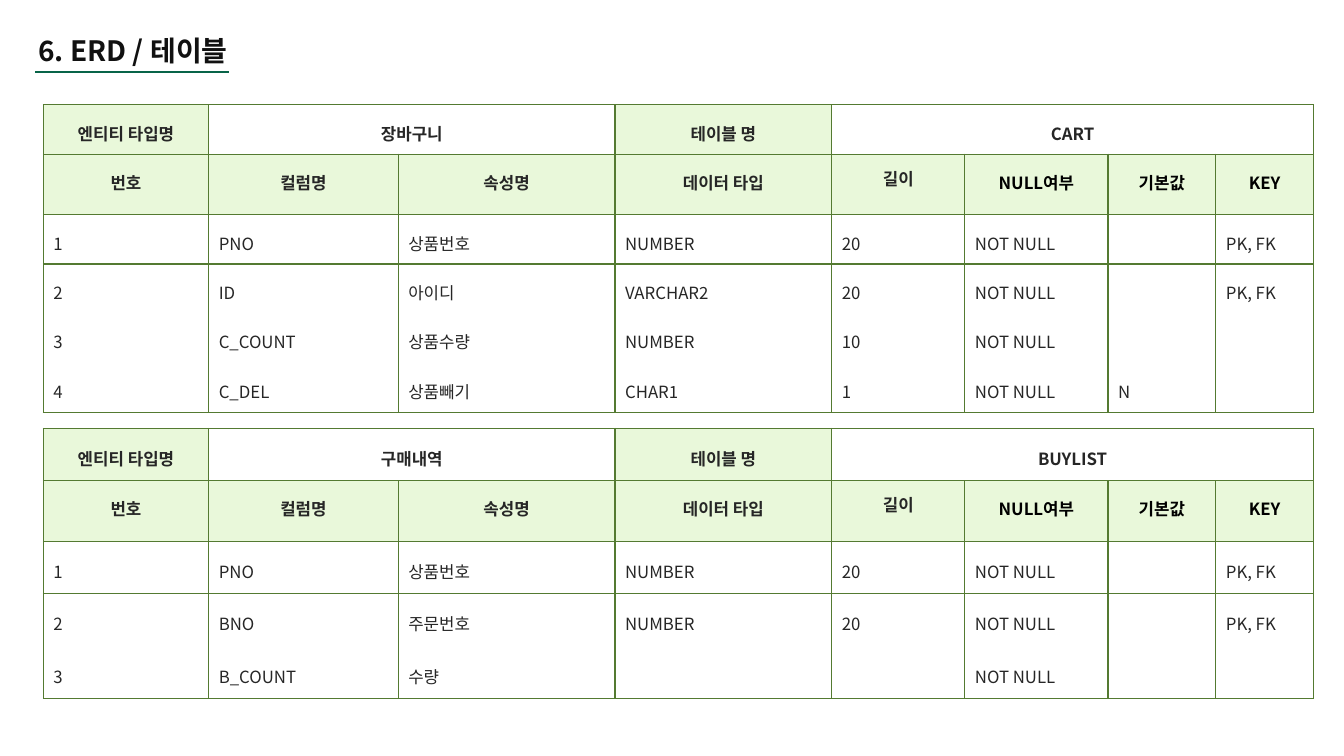
from lxml import etree
from pptx import Presentation
from pptx.dml.color import RGBColor
from pptx.enum.shapes import MSO_CONNECTOR
from pptx.enum.text import MSO_ANCHOR, PP_ALIGN
from pptx.oxml.ns import qn
from pptx.util import Inches, Pt

CENTER, LEFT = PP_ALIGN.CENTER, PP_ALIGN.LEFT
MIDDLE = MSO_ANCHOR.MIDDLE
STRAIGHT = MSO_CONNECTOR.STRAIGHT

FONT = "Noto Sans CJK KR"
COLORS = {
    "title": "111111", "rule": "086448", "border": "547A31",
    "label": "E9F8DA", "plain": "FFFFFF", "text": "262626", "black": "000000",
}
NO_GRID_STYLE = "{2D5ABB26-0587-4C30-8999-92F81FD0307C}"

COLUMN_WIDTHS = [1.64, 1.88, 2.15, 2.15, 1.32, 1.42, 1.07, 0.97]
FIELD_ROW_HEIGHT = 0.6
FIELDS = ["번호", "컬럼명", "속성명", "데이터 타입", "길이", "NULL여부", "기본값", "KEY"]
BLACK_FIELDS = FIELDS[5:]
# Top and bottom insets
CELL_INSETS, FIELD_INSETS, LENGTH_INSETS = (0.12, 0.05), (0, 0.05), (0, 0.13)

CART_COLUMNS = [
    ["1", "PNO", "상품번호", "NUMBER", "20", "NOT NULL", "", "PK, FK"],
    ["2", "ID", "아이디", "VARCHAR2", "20", "NOT NULL", "", "PK, FK"],
    ["3", "C_COUNT", "상품수량", "NUMBER", "10", "NOT NULL", "", ""],
    ["4", "C_DEL", "상품빼기", "CHAR1", "1", "NOT NULL", "N", ""],
]
BUYLIST_COLUMNS = [
    ["1", "PNO", "상품번호", "NUMBER", "20", "NOT NULL", "", "PK, FK"],
    ["2", "BNO", "주문번호", "NUMBER", "20", "NOT NULL", "", "PK, FK"],
    ["3", "B_COUNT", "수량", "", "", "NOT NULL", "", ""],
]


def rgb(name):
    return RGBColor.from_string(COLORS[name])


def style_text(paragraph, size, color, bold):
    for run in paragraph.runs:
        run.font.size = Pt(size)
        run.font.bold = bold
        run.font.color.rgb = rgb(color)
        run.font.name = FONT
        east_asian = etree.SubElement(run.font._element, qn("a:ea"))
        east_asian.set("typeface", FONT)


def add_borders(cell, sides):
    """Draw the sides given as letters out of L, R, T and B, in that order."""
    properties = cell._tc.get_or_add_tcPr()
    for side in sides:
        line = etree.SubElement(properties, qn(f"a:ln{side}"), w=str(Pt(1)))
        fill = etree.SubElement(line, qn("a:solidFill"))
        etree.SubElement(fill, qn("a:srgbClr"), val=COLORS["border"])


def fill_cell(cell, text, fill="plain", sides="LRTB", insets=CELL_INSETS,
              align=CENTER, color="text", bold=True):
    add_borders(cell, sides)
    cell.fill.solid()
    cell.fill.fore_color.rgb = rgb(fill)
    cell.vertical_anchor = MIDDLE
    if text:
        cell.margin_top, cell.margin_bottom = map(Inches, insets)
        cell.text_frame.text = text
        paragraph = cell.text_frame.paragraphs[0]
        paragraph.alignment = align
        style_text(paragraph, 12, color, bold)


def add_entity_table(slide, left, top, row_height, entity, table_name, columns):
    heights = [row_height, FIELD_ROW_HEIGHT] + [row_height] * len(columns)
    table = slide.shapes.add_table(
        len(heights), len(FIELDS), Inches(left), Inches(top),
        Inches(sum(COLUMN_WIDTHS)), Inches(sum(heights))).table
    table.first_row = table.horz_banding = False
    table._tbl.tblPr.find(qn("a:tableStyleId")).text = NO_GRID_STYLE
    for column, width in zip(table.columns, COLUMN_WIDTHS):
        column.width = Inches(width)
    for row, height in zip(table.rows, heights):
        row.height = Inches(height)

    table.cell(0, 1).merge(table.cell(0, 2))
    table.cell(0, 4).merge(table.cell(0, 7))
    names = ["엔티티 타입명", entity, "", "테이블 명", table_name, "", "", ""]
    for index, name in enumerate(names):
        fill_cell(table.cell(0, index), name, "label" if index in (0, 3) else "plain")

    for index, field in enumerate(FIELDS):
        fill_cell(table.cell(1, index), field, "label",
                  insets=LENGTH_INSETS if field == "길이" else FIELD_INSETS,
                  color="black" if field in BLACK_FIELDS else "text")

    for number, values in enumerate(columns, 1):
        sides = "LR" + "T" * (number == 1) + "B" * (number == len(columns))
        for index, value in enumerate(values):
            fill_cell(table.cell(number + 1, index), value, sides=sides,
                      align=LEFT, bold=False)


def add_title(slide, left, top, width, height, text):
    title = slide.shapes.add_textbox(
        Inches(left), Inches(top), Inches(width), Inches(height)).text_frame
    title.word_wrap = False
    title.text = text
    style_text(title.paragraphs[0], 20, "title", True)

    rule_y = Inches(top + height - 0.01)
    underline = slide.shapes.add_connector(
        STRAIGHT, Inches(left + 0.07), rule_y, Inches(left + width - 0.29), rule_y)
    underline.line.color.rgb = rgb("rule")
    underline.line.width = Pt(1.5)
    etree.SubElement(underline._element.spPr, qn("a:effectLst"))


def main():
    deck = Presentation()
    deck.slide_width, deck.slide_height = Inches(13.33), Inches(7.5)
    slide = deck.slides.add_slide(deck.slide_layouts[6])
    add_entity_table(slide, 0.43, 1.04, 0.49, "장바구니", "CART", CART_COLUMNS)
    add_entity_table(slide, 0.43, 4.25, 0.52, "구매내역", "BUYLIST", BUYLIST_COLUMNS)
    add_title(slide, 0.28, 0.28, 2.28, 0.44, "6. ERD / 테이블")
    deck.save("out.pptx")


if __name__ == "__main__":
    main()
